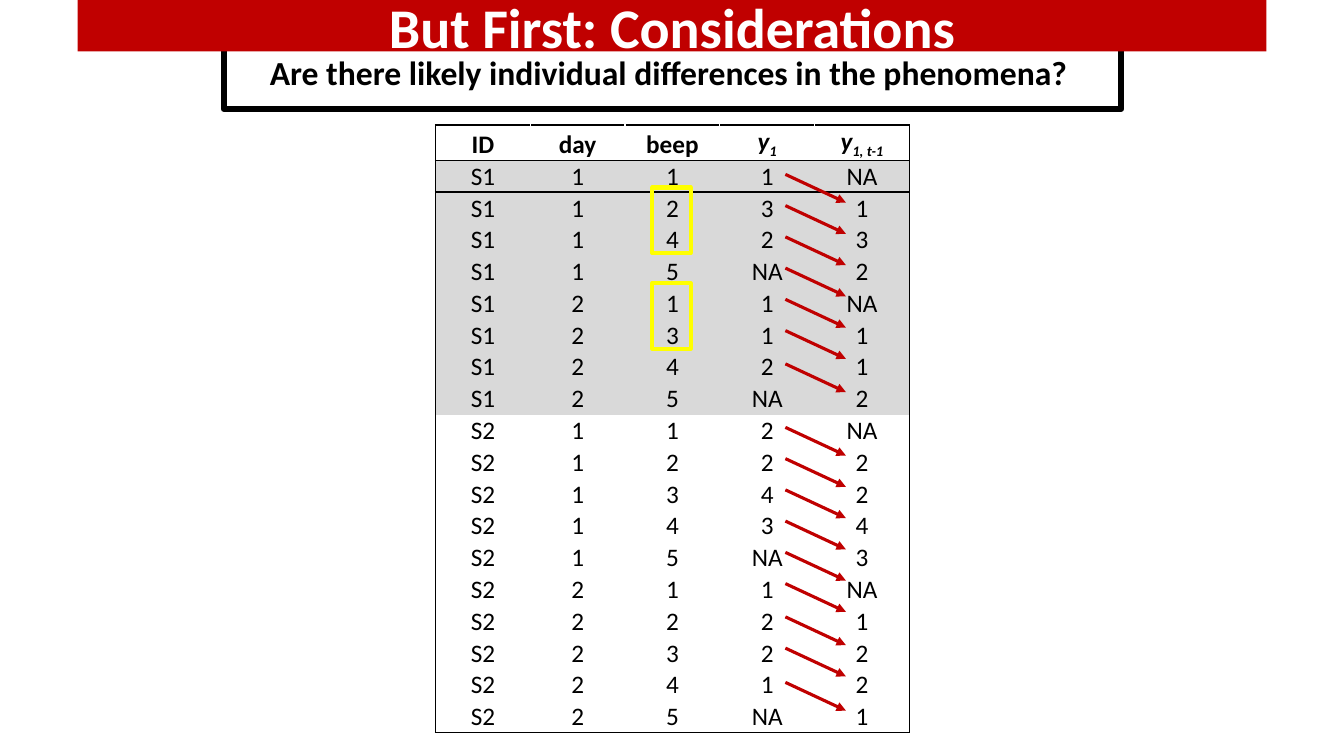
from lxml.etree import SubElement
from pptx import Presentation
from pptx.dml.color import RGBColor
from pptx.enum.shapes import MSO_CONNECTOR, MSO_SHAPE
from pptx.enum.text import MSO_ANCHOR, MSO_AUTO_SIZE, PP_ALIGN
from pptx.oxml.ns import qn
from pptx.util import Inches, Pt

BLACK, WHITE, RED, GRAY, YELLOW = "000000", "FFFFFF", "C00000", "D9D9D9", "FFFF00"
PLAIN = "{2D5ABB26-0587-4C30-8999-92F81FD0307C}"
HEADS = [["ID"], ["day"], ["beep"], ["y", "1"], ["y", "1, t-1"]]
DATA = {
    "S1": [(1, 1, 1), (1, 2, 3), (1, 4, 2), (1, 5, "NA"),
           (2, 1, 1), (2, 3, 1), (2, 4, 2), (2, 5, "NA")],
    "S2": [(1, 1, 2), (1, 2, 2), (1, 3, 4), (1, 4, 3), (1, 5, "NA"),
           (2, 1, 1), (2, 2, 2), (2, 3, 2), (2, 4, 1), (2, 5, "NA")],
}
FILLS = {"ID": WHITE, "S1": GRAY, "S2": WHITE}
RUNS = [(1.73, 6), (3.61, 1), (4.24, 6), (6.12, 2), (6.77, 1)]
STEP = 0.31


def color(code):
    return RGBColor.from_string(code)


def paint(shape, code):
    shape.fill.solid()
    shape.fill.fore_color.rgb = color(code)


def place(shape, left, top, width, height):
    shape.left, shape.top = Inches(left), Inches(top)
    shape.width, shape.height = Inches(width), Inches(height)


def add_run(para, text, size, code, bold=False, italic=False, sub=False):
    para.alignment = PP_ALIGN.CENTER
    run = para.add_run()
    run.text = text
    font = run.font
    font.name, font.size, font.bold, font.italic = "Calibri", Pt(size), bold, italic
    font.color.rgb = color(code)
    if sub:
        run._r.get_or_add_rPr().set("baseline", "-25000")


def add_box(slide, left, top, width, height, line, weight):
    box = slide.shapes.add_shape(
        MSO_SHAPE.RECTANGLE, Inches(left), Inches(top), Inches(width), Inches(height))
    box.shadow.inherit = False
    box.fill.background()
    box.line.color.rgb = color(line)
    box.line.width = Pt(weight)
    return box


def set_text(shape, text, size, code):
    frame = shape.text_frame
    frame.word_wrap = True
    frame.auto_size = MSO_AUTO_SIZE.NONE
    frame.vertical_anchor = MSO_ANCHOR.MIDDLE
    add_run(frame.paragraphs[0], text, size, code, bold=True)


def add_edge(cell, side, code):
    line = SubElement(cell._tc.get_or_add_tcPr(), qn(f"a:ln{side}"), w=str(Pt(1)))
    fill = SubElement(line, qn("a:solidFill"))
    SubElement(fill, qn("a:srgbClr"), val=code)


def edges(row, col, last, end):
    found = {}
    if row == 0 or col == 0:
        found["L"] = BLACK if col == 0 else WHITE
    if row == 0 or col == end:
        found["R"] = BLACK if col == end else WHITE
    if row < 2:
        found["T"] = BLACK
    if row in (0, last):
        found["B"] = BLACK
    return found


def get_rows():
    rows = [HEADS]
    for name, beeps in DATA.items():
        lag = "NA"
        for day, beep, score in beeps:
            rows.append([[str(item)] for item in (name, day, beep, score, lag)])
            lag = score
    return rows


def add_grid(slide):
    rows = get_rows()
    frame = slide.shapes.add_table(
        len(rows), len(HEADS), Inches(4.32), Inches(1.24), Inches(4.7), Inches(5.9))
    table = frame.table
    table._tbl.tblPr.find(qn("a:tableStyleId")).text = PLAIN
    for r, row in enumerate(rows):
        for c, parts in enumerate(row):
            cell = table.cell(r, c)
            cell.margin_left = cell.margin_right = cell.margin_top = Inches(0.01)
            cell.margin_bottom = 0
            cell.vertical_anchor = MSO_ANCHOR.BOTTOM
            for side, code in edges(r, c, len(rows) - 1, len(row) - 1).items():
                add_edge(cell, side, code)
            paint(cell, FILLS[row[0][0]])
            para = cell.text_frame.paragraphs[0]
            for n, text in enumerate(parts):
                add_run(para, text, 18, BLACK, bold=r == 0,
                        italic=len(parts) > 1, sub=n > 0)


def add_arrow(slide, top):
    arrow = slide.shapes.add_connector(
        MSO_CONNECTOR.STRAIGHT, Inches(7.79), Inches(top), Inches(8.39), Inches(top + 0.28))
    arrow.line.color.rgb = color(RED)
    arrow.line.width = Pt(2.25)
    SubElement(arrow.line._get_or_add_ln(), qn("a:tailEnd"), type="triangle")
    SubElement(arrow._element.spPr, qn("a:effectLst"))


def main():
    deck = Presentation()
    deck.slide_width, deck.slide_height = Inches(13.33), Inches(7.5)
    slide = deck.slides.add_slide(deck.slide_layouts[5])

    ask = add_box(slide, 2.22, 0.34, 8.9, 0.74, BLACK, 4.5)
    paint(ask, WHITE)
    set_text(ask, "Are there likely individual differences in the phenomena? ", 24, BLACK)

    title = slide.shapes.title
    place(title, 0.77, 0, 11.79, 0.51)
    paint(title, RED)
    set_text(title, "But First: Considerations", 40, WHITE)
    ask.element.addnext(title.element)

    add_grid(slide)
    for top, count in RUNS:
        for n in range(count):
            add_arrow(slide, top + n * STEP)
    for top in (1.86, 2.81):
        add_box(slide, 6.47, top, 0.38, 0.65, YELLOW, 3)
    deck.save("out.pptx")


if __name__ == "__main__":
    main()
